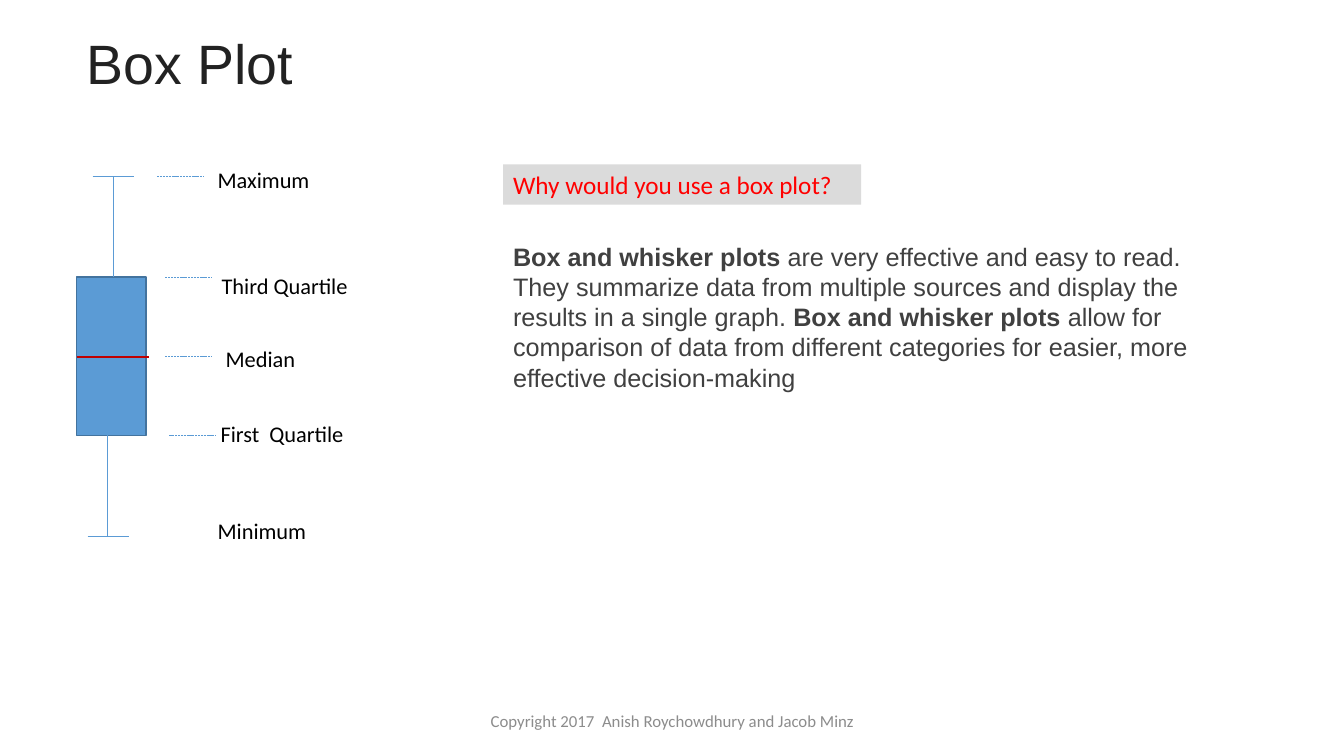
from pptx import Presentation
from pptx.dml.color import RGBColor
from pptx.enum.dml import MSO_LINE
from pptx.enum.shapes import MSO_CONNECTOR, MSO_SHAPE
from pptx.enum.text import MSO_ANCHOR, PP_ALIGN
from pptx.util import Inches, Pt
from lxml import etree

STRAIGHT, RECTANGLE, DASH = MSO_CONNECTOR.STRAIGHT, MSO_SHAPE.RECTANGLE, MSO_LINE.SQUARE_DOT
TOP, MIDDLE = MSO_ANCHOR.TOP, MSO_ANCHOR.MIDDLE
LEFT, CENTER = PP_ALIGN.LEFT, PP_ALIGN.CENTER
EFFECTS = "{http://schemas.openxmlformats.org/drawingml/2006/main}effectLst"

THEME = {
    "blue": RGBColor(0x5B, 0x9B, 0xD5),
    "box edge": RGBColor(0x43, 0x73, 0x9E),
    "median": RGBColor(0xC0, 0x00, 0x00),
    "band": RGBColor(0xDB, 0xDB, 0xDB),
    "title": {"name": "Arial", "size": Pt(39.6), "color": RGBColor(0x22, 0x22, 0x22)},
    "label": {"name": "Calibri", "size": Pt(16), "color": RGBColor(0, 0, 0)},
    "question": {"name": "Calibri", "size": Pt(18), "color": RGBColor(0xFF, 0, 0)},
    "body": {"name": "Arial", "size": Pt(18), "color": RGBColor(0x40, 0x40, 0x40)},
    "footer": {"name": "Calibri", "size": Pt(12), "color": RGBColor(0x8C, 0x8C, 0x8C)},
}

prs = Presentation()
prs.slide_width, prs.slide_height = Inches(13.33), Inches(7.5)
slide = prs.slides.add_slide(prs.slide_layouts[6])


def add_line(x1, y1, x2, y2, color="blue", width=0.5, dash=None):
    line = slide.shapes.add_connector(
        STRAIGHT, Inches(x1), Inches(y1), Inches(x2), Inches(y2))
    line.line.color.rgb = THEME[color]
    line.line.width = Pt(width)
    if dash:
        line.line.dash_style = dash
    etree.SubElement(line._element.spPr, EFFECTS)


def add_text(place, runs, style, anchor=TOP, align=LEFT, spacing=None):
    box = slide.shapes.add_textbox(*map(Inches, place))
    frame = box.text_frame
    frame.word_wrap = True
    frame.vertical_anchor = anchor
    paragraph = frame.paragraphs[0]
    paragraph.alignment = align
    paragraph.line_spacing = spacing
    for text, bold in runs:
        run = paragraph.add_run()
        run.text = text
        run.font.bold = bold
        for key, value in THEME[style].items():
            if key == "color":
                run.font.color.rgb = value
            else:
                setattr(run.font, key, value)
    return box


# Title
add_text((0.76, 0.28, 8.45, 0.75), [("Box Plot", False)], "title", MIDDLE, spacing=0.9)

# Box from first to third quartile
maximum, third_quartile, median, first_quartile, minimum = 1.75, 2.75, 3.54, 4.32, 5.32
box_left, box_width = 0.76, 0.69
quartile_box = slide.shapes.add_shape(
    RECTANGLE, Inches(box_left), Inches(third_quartile),
    Inches(box_width), Inches(first_quartile - third_quartile))
quartile_box.shadow.inherit = False
quartile_box.fill.solid()
quartile_box.fill.fore_color.rgb = THEME["blue"]
quartile_box.line.color.rgb = THEME["box edge"]
quartile_box.line.width = Pt(1)

# Whiskers with their caps, and the median
for center, end, quartile in [(1.12, maximum, third_quartile), (1.07, minimum, first_quartile)]:
    add_line(center - 0.2, end, center + 0.21, end)
    add_line(center, end, center, quartile)
add_line(box_left, median, 1.48, median, "median", 1.75)

# Dashed leaders
for left, level in [(1.56, maximum), (1.64, third_quartile), (1.64, median), (1.68, first_quartile)]:
    add_line(left, level, left + 0.46, level, dash=DASH)

# Labels
for label, left, top in [
    ("Maximum", 2.06, 1.6),
    ("Third Quartile", 2.1, 2.65),
    ("Median", 2.14, 3.37),
    ("First  Quartile", 2.09, 4.12),
    ("Minimum", 2.06, 5.08),
]:
    add_text((left, top, 1.47, 0.37), [(label, False)], "label")

# Question and answer
question = add_text((4.99, 1.63, 3.55, 0.4), [("Why would you use a box plot?", False)], "question")
question.fill.solid()
question.fill.fore_color.rgb = THEME["band"]
add_text((4.99, 2.34, 7.28, 1.62), [
    ("Box and whisker plots", True),
    ("\u00a0are very effective and easy to read. They summarize data from multiple "
     "sources and display the results in a single graph.\u00a0", False),
    ("Box and whisker plots", True),
    ("\u00a0allow for comparison of data from different categories for easier, more "
     "effective decision-making", False),
], "body")

# Footer
add_text((4.42, 6.95, 4.5, 0.4), [("Copyright 2017  Anish Roychowdhury and Jacob Minz", False)],
         "footer", MIDDLE, CENTER)

prs.save("out.pptx")
